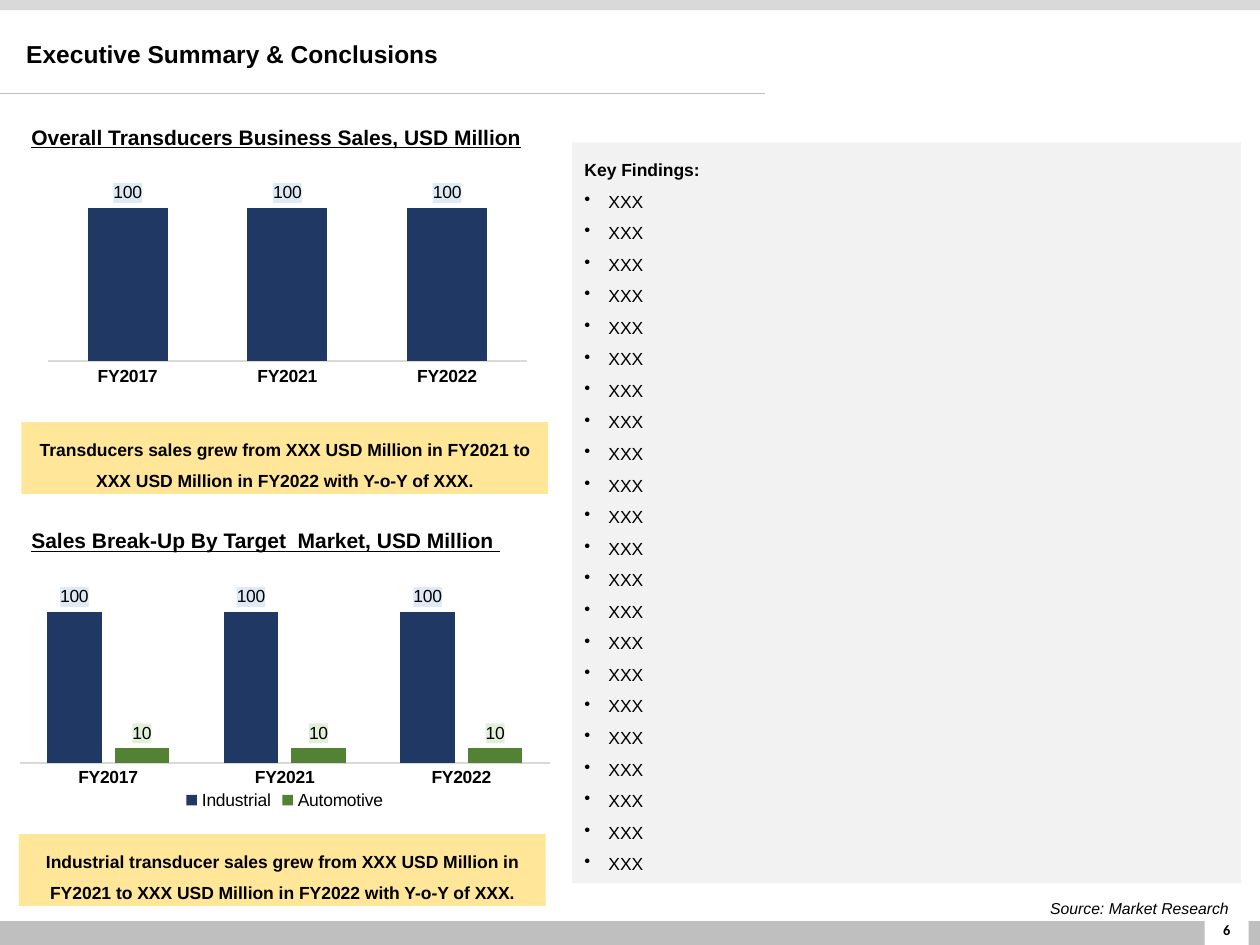
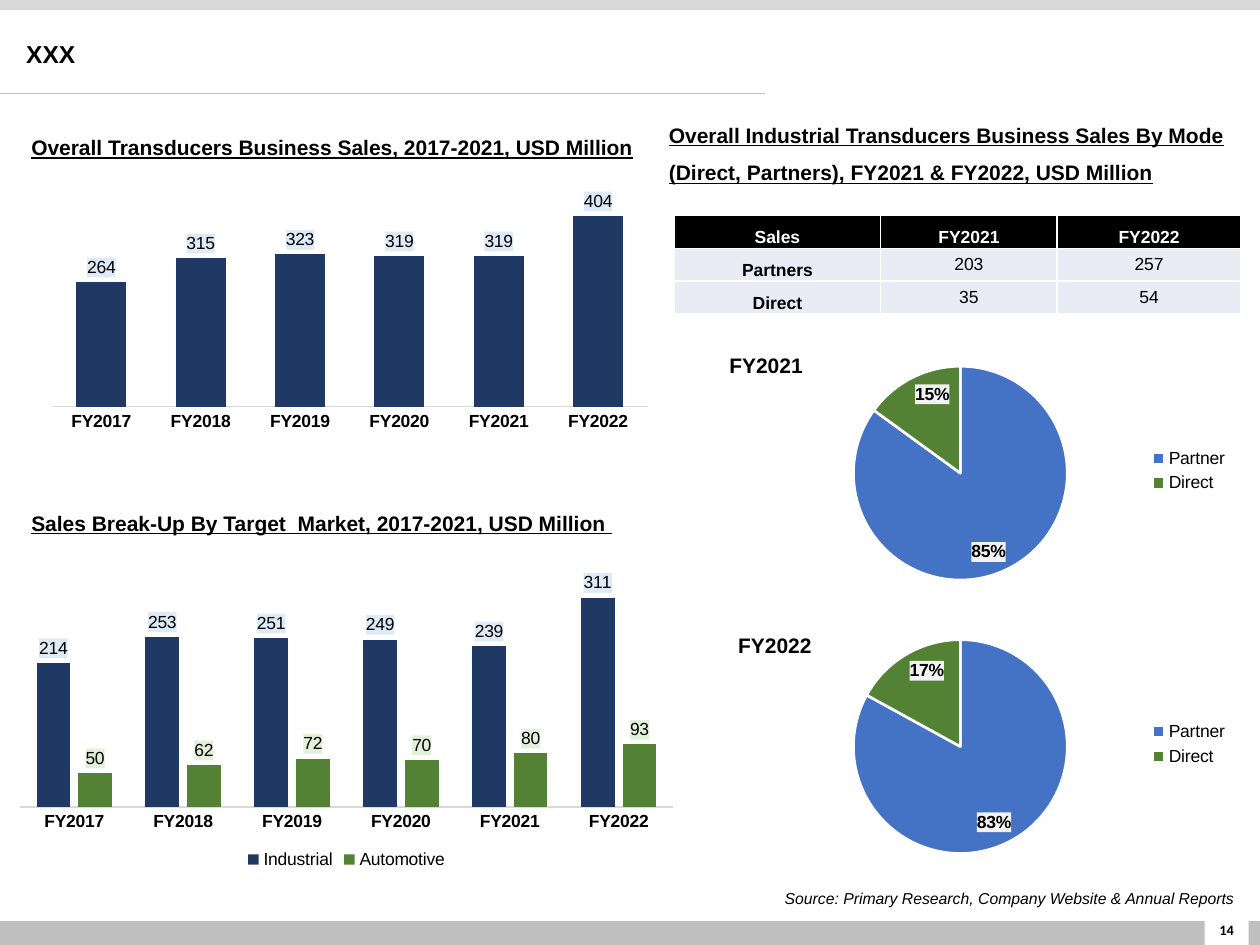
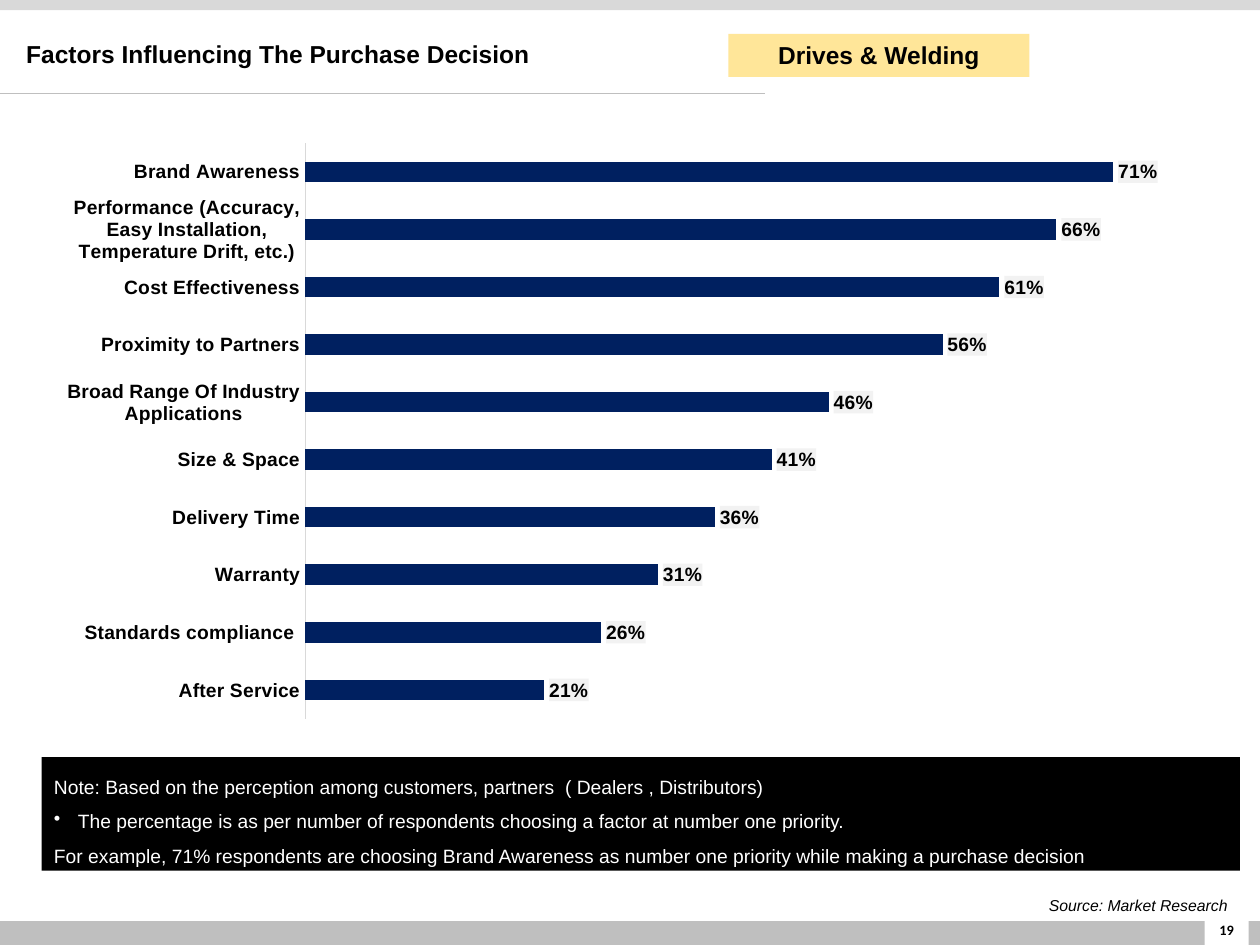
import pptx
import pptx.util
import pptx.dml.color
import pptx.enum.shapes
import pptx.enum.text
import pptx.enum.chart
import pptx.chart.data
import pptx.oxml
import pptx.oxml.ns

Inches, Pt = pptx.util.Inches, pptx.util.Pt
RGB = pptx.dml.color.RGBColor
KIND = pptx.enum.chart.XL_CHART_TYPE
SPOT = pptx.enum.chart.XL_LABEL_POSITION
SIDE = pptx.enum.chart.XL_LEGEND_POSITION
ALIGN = pptx.enum.text.PP_ALIGN
MID = pptx.enum.text.MSO_ANCHOR.MIDDLE
TOP = pptx.enum.text.MSO_ANCHOR.TOP
RECT = pptx.enum.shapes.MSO_SHAPE.RECTANGLE

BLACK, WHITE = RGB(0, 0, 0), RGB(255, 255, 255)
BAND, RULE, PALE = RGB(0xBF, 0xBF, 0xBF), RGB(0xD9, 0xD9, 0xD9), RGB(0xF2, 0xF2, 0xF2)
GOLD, ICE = RGB(0xFF, 0xE6, 0x99), RGB(0xE9, 0xEB, 0xF5)
NAVY, DEEP, GREEN = RGB(0x20, 0x38, 0x64), RGB(0, 0x20, 0x60), RGB(0x54, 0x82, 0x35)
BLUE = RGB(0x44, 0x72, 0xC4)
SKY, MINT = RGB(0xDE, 0xEB, 0xF7), RGB(0xE2, 0xF0, 0xD9)

PLAIN = {"name": "Arial", "size": Pt(10), "bold": False}
BOLD = {**PLAIN, "bold": True}
HEAD = {**BOLD, "size": Pt(12), "underline": True}
LABEL = {**BOLD, "size": Pt(12)}
TITLE = {**BOLD, "size": Pt(14)}
CITE = {**PLAIN, "size": Pt(9), "italic": True}
PAGE = {**BOLD, "name": "Calibri", "size": Pt(8.2)}
NOTE = {**PLAIN, "size": Pt(11)}
BARS = {**NOTE, "bold": True}

SHORT = ["FY2017", "FY2021", "FY2022"]
YEARS = [f"FY{year}" for year in range(2017, 2023)]
TOTAL, SPLIT = [NAVY], [NAVY, GREEN]

PAGES = [
    {
        "title": "Executive Summary & Conclusions",
        "page": 6,
        "source": ("Source: Market Research", (8.02, 7.07, 1.83, 0.25)),
        "heads": [
            ("Overall Transducers Business Sales, USD Million", (0.15, 0.84, 4.18, 0.38)),
            ("Sales Break-Up By Target  Market, USD Million ", (0.15, 4.04, 4.22, 0.37)),
        ],
        "columns": [
            ((0.17, 1.2, 4.18, 2.06), SHORT, {"Series 1": [100] * 3},
             TOTAL, 120, (0.05, 0.1, 0.91, 0.71)),
            ((0.15, 4.41, 4.22, 2.06), SHORT,
             {"Industrial": [100] * 3, "Automotive": [10] * 3},
             SPLIT, 120, (0, 0.1, 1, 0.7)),
        ],
        "calls": [
            ("Transducers sales grew from XXX USD Million in FY2021 to "
             "XXX USD Million in FY2022 with Y-o-Y of XXX.", (0.17, 3.35, 4.18, 0.57)),
            ("Industrial transducer sales grew from XXX USD Million in FY2021 to "
             "XXX USD Million in FY2022 with Y-o-Y of XXX.", (0.15, 6.62, 4.18, 0.57)),
        ],
    },
    {
        "title": "XXX",
        "page": 14,
        "source": ("Source: Primary Research, Company Website & Annual Reports",
                   (5.35, 6.99, 4.54, 0.25)),
        "heads": [
            ("Overall Transducers Business Sales, 2017-2021, USD Million",
             (0.15, 0.92, 5.06, 0.38)),
            ("Sales Break-Up By Target  Market, 2017-2021, USD Million ",
             (0.15, 3.9, 5.06, 0.37)),
            ("Overall Industrial Transducers Business Sales By Mode (Direct, Partners), "
             "FY2021 & FY2022, USD Million", (5.21, 0.82, 4.68, 0.67)),
        ],
        "columns": [
            ((0.15, 1.29, 5.2, 2.55), YEARS,
             {"Series 1": [264, 315, 323, 319, 319, 404]},
             TOTAL, 450, (0.05, 0.1, 0.91, 0.66)),
            ((0.15, 4.27, 5.2, 2.67), YEARS,
             {"Industrial": [214, 253, 251, 249, 239, 311],
              "Automotive": [50, 62, 72, 70, 80, 93]},
             SPLIT, 350, (0, 0.1, 1, 0.7)),
        ],
    },
    {
        "title": "Factors Influencing The Purchase Decision",
        "page": 19,
        "source": ("Source: Market Research", (6.02, 7.05, 3.82, 0.25)),
    },
]

MODES = [("Sales", "FY2021", "FY2022"), ("Partners", "203", "257"), ("Direct", "35", "54")]
WIDTHS = (1.64, 1.4, 1.46)
PIES = [
    ("FY2021", (5.69, 2.75, 0.87, 0.3), 2.7, [0.85, 0.15]),
    ("FY2022", (5.76, 4.97, 0.87, 0.3), 4.87, [0.83, 0.17]),
]
FACTORS = {
    "After Service": 0.21,
    "Standards compliance ": 0.26,
    "Warranty": 0.31,
    "Delivery Time": 0.36,
    "Size & Space": 0.41,
    "Broad Range Of Industry Applications": 0.46,
    "Proximity to Partners": 0.56,
    "Cost Effectiveness": 0.61,
    "Performance (Accuracy, Easy Installation, Temperature Drift, etc.)": 0.66,
    "Brand Awareness": 0.71,
}
FINDS = [("Key Findings:", BOLD, False)] + [("XXX", PLAIN, True)] * 22
NOTES = [
    ("Note: Based on the perception among customers, partners  ( Dealers , Distributors)",
     NOTE, False),
    ("The percentage is as per number of respondents choosing a factor at number one priority.",
     NOTE, True),
    ("For example, 71% respondents are choosing Brand Awareness as number one priority "
     "while making a purchase decision", NOTE, False),
]


def place(box):
    return [Inches(side) for side in box]


def style(font, form, color=BLACK):
    for key, value in form.items():
        setattr(font, key, value)
    font.color.rgb = color


def write(frame, lines, color=BLACK, align=ALIGN.LEFT, gap=1.0, anchor=TOP):
    """Fill a text frame with (text, format, bullet) lines."""
    frame.word_wrap = True
    frame.vertical_anchor = anchor
    for row, (text, form, dot) in enumerate(lines):
        para = frame.add_paragraph() if row else frame.paragraphs[0]
        if dot:
            props = para._p.get_or_add_pPr()
            props.set("marL", str(Inches(0.19)))
            props.set("indent", str(-Inches(0.19)))
            mark = pptx.oxml.ns.nsdecls("a")
            props.append(pptx.oxml.parse_xml(f'<a:buChar {mark} char="•"/>'))
        para.alignment, para.line_spacing = align, gap
        run = para.add_run()
        run.text = text
        style(run.font, form, color)


def add_text(slide, box, text, form, **look):
    frame = slide.shapes.add_textbox(*place(box)).text_frame
    write(frame, [(text, form, False)], **look)
    return frame


def add_block(slide, box, fill, lines=(), **look):
    shape = slide.shapes.add_shape(RECT, *place(box))
    shape.shadow.inherit = False
    shape.fill.solid()
    shape.fill.fore_color.rgb = fill
    shape.line.fill.background()
    write(shape.text_frame, lines, **look)


def add_frame(slide, title, page, source):
    """Draw the bands, rule, title, source and page number."""
    for box, fill in [((-0.04, 7.31, 10.05, 0.19), BAND), ((0, 0, 10.02, 0.08), RULE),
                      ((9.56, 7.13, 0.35, 0.38), WHITE)]:
        add_block(slide, box, fill)
    frame = add_text(slide, (9.49, 7.18, 0.49, 0.4), str(page), PAGE,
                     align=ALIGN.CENTER, anchor=MID)
    for side, inset in {"left": 0.07, "right": 0.07, "top": 0.04, "bottom": 0.04}.items():
        setattr(frame, f"margin_{side}", Inches(inset))
    line = slide.shapes.add_connector(pptx.enum.shapes.MSO_CONNECTOR.STRAIGHT,
                                      *place((0, 0.74, 6.07, 0.74)))
    line.line.color.rgb, line.line.width = BAND, Pt(0.5)
    names = pptx.oxml.ns.nsdecls("a")
    line._element.spPr.append(pptx.oxml.parse_xml(f"<a:effectLst {names}/>"))
    add_text(slide, (0.11, 0.25, 6.08, 0.38), title, TITLE, gap=0.9, anchor=MID)
    text, box = source
    add_text(slide, box, text, CITE, align=ALIGN.RIGHT, gap=1.07)


def add_chart(slide, kind, box, cats, data, tints, plot, form, code, spot):
    """Add a chart with a fixed plot area and tinted value labels."""
    feed = pptx.chart.data.CategoryChartData(number_format=code)
    feed.categories = cats
    for name, values in data.items():
        feed.add_series(name, values)
    chart = slide.shapes.add_chart(kind, *place(box), feed).chart
    chart.has_title = chart.has_legend = False
    style(chart.font, {"name": "Calibri", "size": Pt(10)})
    names = pptx.oxml.ns.nsdecls("c", "a")
    area = chart.element.xpath(".//c:plotArea")[0]
    for old in area.xpath("./c:layout"):
        area.remove(old)
    parts = "".join(f'<c:{key} val="{value}"/>' for key, value in zip("xywh", plot))
    area.insert(0, pptx.oxml.parse_xml(
        f'<c:layout {names}><c:manualLayout><c:layoutTarget val="inner"/>'
        f'<c:xMode val="edge"/><c:yMode val="edge"/>{parts}</c:manualLayout></c:layout>'))
    chart.plots[0].vary_by_categories = kind == KIND.PIE
    for series in chart.plots[0].series:
        tags = series.data_labels
        tags.show_value = True
        tags.number_format, tags.number_format_is_linked = code, False
        tags.position = spot
        style(tags.font, form)
    for mark, tint in zip(chart.element.xpath(".//c:ser/c:dLbls/c:numFmt"), tints):
        mark.addnext(pptx.oxml.parse_xml(
            f'<c:spPr {names}><a:solidFill><a:srgbClr val="{tint}"/></a:solidFill></c:spPr>'))
    return chart


def add_legend(chart, side):
    chart.has_legend = True
    chart.legend.position = side
    chart.legend.include_in_layout = False
    style(chart.legend.font, PLAIN)


def add_bars(slide, kind, box, cats, data, fills, tints, peak, plot,
             tag=PLAIN, axis=BOLD, code="0", gap=100, lap=-24, width=1):
    chart = add_chart(slide, kind, box, cats, data, tints, plot, tag, code, SPOT.OUTSIDE_END)
    chart.plots[0].gap_width, chart.plots[0].overlap = gap, lap
    for series, fill in zip(chart.plots[0].series, fills):
        series.format.fill.solid()
        series.format.fill.fore_color.rgb = fill
    scale = chart.value_axis
    scale.minimum_scale, scale.maximum_scale = 0, peak
    scale.has_major_gridlines = scale.visible = False
    base = chart.category_axis
    base.major_tick_mark = pptx.enum.chart.XL_TICK_MARK.NONE
    base.format.line.color.rgb, base.format.line.width = RULE, Pt(width)
    style(base.tick_labels.font, axis)
    if len(data) > 1:
        add_legend(chart, SIDE.BOTTOM)


def add_pie(slide, top, shares):
    chart = add_chart(slide, KIND.PIE, (5.35, top, 4.5, 2.07), ["Partner", "Direct"],
                      {"Series 1": shares}, [PALE], (0.24, 0.1, 0.53, 0.82),
                      BOLD, "0%", SPOT.INSIDE_END)
    for spot, fill in enumerate([BLUE, GREEN]):
        form = chart.plots[0].series[0].points[spot].format
        form.fill.solid()
        form.fill.fore_color.rgb = fill
        form.line.color.rgb, form.line.width = WHITE, Pt(1.5)
    add_legend(chart, SIDE.RIGHT)


def add_modes(slide):
    """Add the table of sales by mode."""
    table = slide.shapes.add_table(3, 3, *place((5.35, 1.71, 4.5, 0.78))).table
    for column, width in zip(table.columns, WIDTHS):
        column.width = Inches(width)
    for row, texts in enumerate(MODES):
        table.rows[row].height = Inches(0.26)
        for col, text in enumerate(texts):
            cell = table.cell(row, col)
            lead = row == 0 or col == 0
            for side in ("left", "right", "top", "bottom"):
                inset = 0.01 if lead and side != "bottom" else 0
                setattr(cell, f"margin_{side}", Inches(inset))
            cell.fill.solid()
            cell.fill.fore_color.rgb = ICE if row else BLACK
            write(cell.text_frame, [(text, BOLD if lead else PLAIN, False)],
                  color=BLACK if row else WHITE, align=ALIGN.CENTER, gap=1.5 if lead else 1.0)
            cell.vertical_anchor = MID


def main():
    deck = pptx.Presentation()
    deck.slide_width, deck.slide_height = Inches(10), Inches(7.5)
    slides = []
    for page in PAGES:
        slide = deck.slides.add_slide(deck.slide_layouts[6])
        slides.append(slide)
        add_frame(slide, page["title"], page["page"], page["source"])
        for text, box in page.get("heads", []):
            add_text(slide, box, text, HEAD, gap=1.5)
        for box, cats, data, fills, peak, plot in page.get("columns", []):
            add_bars(slide, KIND.COLUMN_CLUSTERED, box, cats, data, fills,
                     [SKY, MINT], peak, plot)
        for text, box in page.get("calls", []):
            add_block(slide, box, GOLD, [(text, BOLD, False)], align=ALIGN.CENTER, gap=1.5)

    first, second, third = slides
    add_block(first, (4.54, 1.13, 5.31, 5.88), PALE, FINDS, gap=1.5)
    add_modes(second)
    for year, box, top, shares in PIES:
        add_pie(second, top, shares)
        add_text(second, box, year, LABEL)
    add_bars(third, KIND.BAR_CLUSTERED, (0.33, 1.04, 9.51, 4.76), list(FACTORS),
             {"Series 1": list(FACTORS.values())}, [DEEP], [PALE], 0.8,
             (0.22, 0.02, 0.76, 0.96), tag=BARS, axis=BARS, code="0%",
             gap=182, lap=0, width=0.75)
    add_block(third, (0.33, 6.01, 9.51, 0.9), BLACK, NOTES, color=WHITE, gap=1.5)
    add_block(third, (5.78, 0.27, 2.39, 0.34), GOLD,
              [("Drives & Welding", TITLE, False)], align=ALIGN.CENTER)
    deck.save("out.pptx")


if __name__ == "__main__":
    main()
